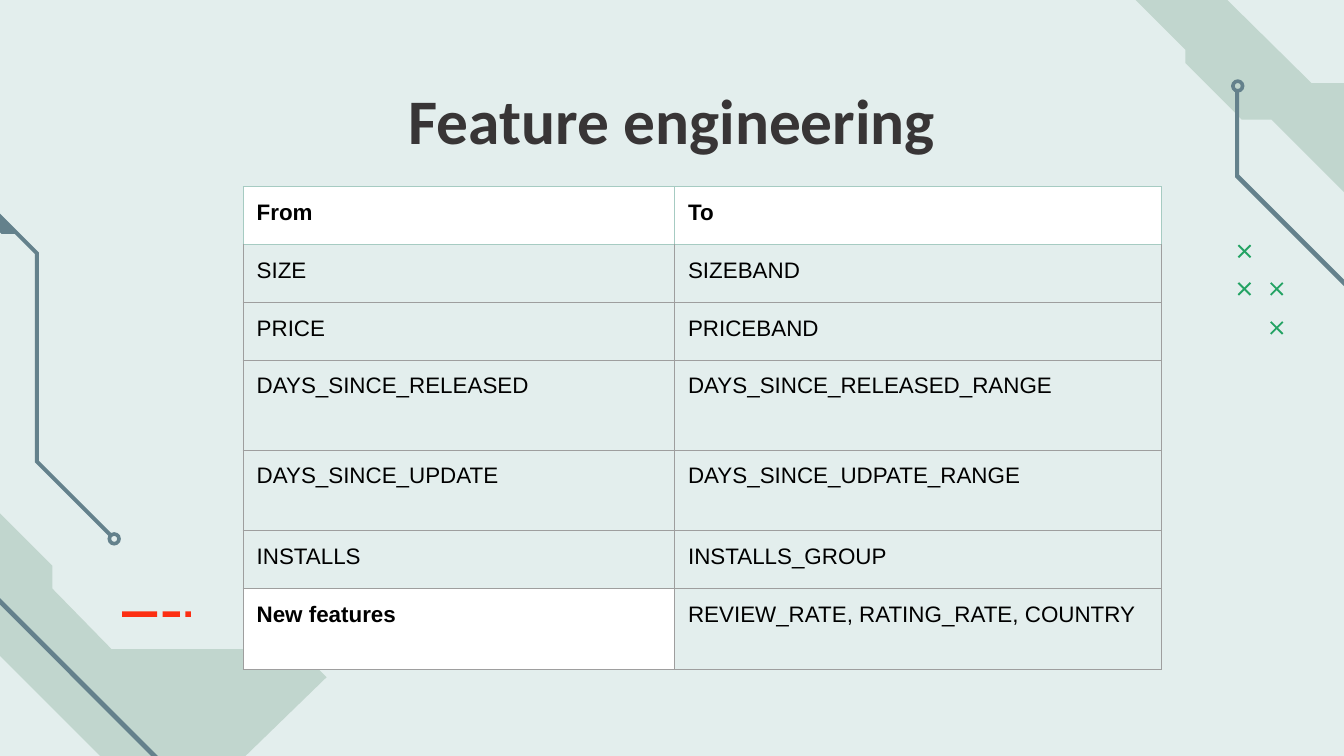
from typing import NamedTuple

from lxml import etree
from pptx import Presentation
from pptx.dml.color import RGBColor
from pptx.enum.shapes import MSO_SHAPE
from pptx.enum.text import MSO_ANCHOR, PP_ALIGN
from pptx.oxml.ns import qn
from pptx.util import Inches, Pt

RECTANGLE = MSO_SHAPE.RECTANGLE
DONUT = MSO_SHAPE.DONUT
TOP = MSO_ANCHOR.TOP
CENTER = PP_ALIGN.CENTER

PAGE_WIDTH = 10
PAGE_HEIGHT = PAGE_WIDTH * 9 / 16

BACKGROUND, SAGE, SLATE = "E3EEED", "C1D6CE", "64818C"
GREEN, RED, INK = "24A364", "FC2E12", "383536"
WHITE, BLACK = "FFFFFF", "000000"
HEADER_LINE, BODY_LINE = "A6CBC2", "9E9E9E"


class Outline(NamedTuple):
    color: str
    points: list[tuple[float, float]]


class Row(NamedTuple):
    source: str
    target: str
    height: float


RIGHT_BAND = Outline(SAGE, [
    (5.89, -2.59), (5.87, -2.58), (8.82, 0.37), (8.82, 0.47), (9.24, 0.89),
    (9.46, 0.89), (10.04, 1.47), (10.72, 1.47), (13.69, 4.44), (13.71, 4.43),
    (10.48, 1.2), (10.48, 1.03), (10.07, 0.62), (9.76, 0.62), (9.04, -0.09),
    (8.39, -0.09)])
LEFT_BAND = Outline(SAGE, [
    (-2.72, 1.1), (-2.74, 1.12), (-0.05, 3.81), (-0.05, 4.83), (0.78, 5.66),
    (1.65, 6.53), (4.15, 9.03), (4.17, 9.01), (1.74, 6.58), (1.74, 5.71),
    (2.43, 5.04), (2.22, 4.83), (0.83, 4.83), (0.39, 4.38), (0.39, 4.21),
    (-0.05, 3.77)])
LEFT_TRACE = Outline(SLATE, [
    (-1.66, 0.52), (-1.66, 1.16), (-0.47, 1.16), (0.26, 1.89), (0.26, 3.44),
    (0.82, 4), (0.84, 3.98), (0.29, 3.43), (0.29, 1.88), (-0.46, 1.13),
    (-1.63, 1.13), (-1.63, 0.52)])
LEFT_WEDGE = Outline(SLATE, [
    (-0.3, 1.3), (-0.3, 1.43), (0.01, 1.74), (0.13, 1.74)])
# Used twice: a line that drops down, then runs off diagonally
CORNER_TRACE = [(0, 0), (0, 0.65), (1.28, 1.93), (1.28, 2.31),
                (1.31, 2.31), (1.31, 1.91), (0.03, 0.63), (0.03, 0)]
CORNER_TRACE_ORIGINS = [(9.19, 0.67), (-0.13, 3.72)]

CROSS_SIZE, CROSS_BAR = 0.1, 0.01
CROSSES = [(9.21, 2.1), (9.21, 1.82), (9.45, 2.39), (9.45, 2.1)]
RINGS = [(9.16, 0.59), (0.8, 3.96)]
DASHES = [(0.91, 0.26), (1.21, 0.13), (1.38, 0.04)]

COLUMN_WIDTHS = [3.21, 3.62]
ROWS = [
    Row("From", "To", 0.43),
    Row("SIZE", "SIZEBAND", 0.43),
    Row("PRICE", "PRICEBAND", 0.43),
    Row("DAYS_SINCE_RELEASED", "DAYS_SINCE_RELEASED_RANGE", 0.67),
    Row("DAYS_SINCE_UPDATE", "DAYS_SINCE_UDPATE_RANGE", 0.6),
    Row("INSTALLS", "INSTALLS_GROUP", 0.43),
    Row("New features", "REVIEW_RATE, RATING_RATE, COUNTRY", 0.6),
]


def rgb(color: str) -> RGBColor:
    return RGBColor.from_string(color)


def paint(shape, color: str) -> None:
    """Give a shape a flat fill with neither line nor shadow."""
    shape.fill.solid()
    shape.fill.fore_color.rgb = rgb(color)
    shape.line.fill.background()
    shape.shadow.inherit = False


def draw_outline(page, outline: Outline) -> None:
    points = [(Inches(x), Inches(y)) for x, y in outline.points]
    builder = page.shapes.build_freeform(*points[0], scale=1.0)
    builder.add_line_segments(points[1:], close=True)
    paint(builder.convert_to_shape(), outline.color)


def draw_preset(page, kind, left: float, top: float, width: float,
                height: float, color: str):
    shape = page.shapes.add_shape(kind, Inches(left), Inches(top),
                                  Inches(width), Inches(height))
    paint(shape, color)
    return shape


def draw_cross(page, left: float, top: float) -> None:
    size, bar = CROSS_SIZE, CROSS_BAR
    rising = [(0, size - bar), (size - bar, 0), (size, bar), (bar, size)]
    falling = [(x, size - y) for x, y in rising]
    for points in (rising, falling):
        draw_outline(page, Outline(GREEN, [(left + x, top + y) for x, y in points]))


def draw_decoration(page) -> None:
    draw_outline(page, RIGHT_BAND)
    for left, top in CROSSES:
        draw_cross(page, left, top)
    for left, width in DASHES:
        draw_preset(page, RECTANGLE, left, 4.55, width, 0.04, RED)
    for outline in (LEFT_TRACE, LEFT_WEDGE, LEFT_BAND):
        draw_outline(page, outline)
    for left, top in CORNER_TRACE_ORIGINS:
        points = [(left + x, top + y) for x, y in CORNER_TRACE]
        draw_outline(page, Outline(SLATE, points))
    for left, top in RINGS:
        ring = draw_preset(page, DONUT, left, top, 0.1, 0.1, SLATE)
        ring.adjustments[0] = 0.28


def draw_title(page, text: str) -> None:
    box = page.shapes.add_textbox(Inches(0.82), Inches(0.5), Inches(8.36), Inches(0.97))
    frame = box.text_frame
    frame.word_wrap = True
    frame.vertical_anchor = TOP
    frame.margin_left = frame.margin_right = Inches(0.1)
    frame.margin_top = frame.margin_bottom = Inches(0.1)
    para = frame.paragraphs[0]
    para.text = text
    para.alignment = CENTER
    para.font.name, para.font.size, para.font.bold = "Calibri", Pt(34), True
    para.font.color.rgb = rgb(INK)


def set_borders(cell, color: str, top_color: str) -> None:
    properties = cell._tc.get_or_add_tcPr()
    for side in ("lnL", "lnR", "lnT", "lnB"):
        line = etree.SubElement(properties, qn(f"a:{side}"), w=str(Pt(0.75)))
        solid = etree.SubElement(line, qn("a:solidFill"))
        etree.SubElement(solid, qn("a:srgbClr"),
                         val=top_color if side == "lnT" else color)


def fill_cell(cell, text: str, heading: bool) -> None:
    """Write a cell; headings are bold on white, others are see-through."""
    cell.margin_left = cell.margin_right = Inches(0.1)
    cell.margin_top = cell.margin_bottom = Inches(0.1)
    if heading:
        cell.fill.solid()
        cell.fill.fore_color.rgb = rgb(WHITE)
    else:
        cell.fill.background()
    para = cell.text_frame.paragraphs[0]
    para.text = text
    para.font.name, para.font.size, para.font.bold = "Arial", Pt(12), heading
    para.font.color.rgb = rgb(BLACK)


def draw_table(page) -> None:
    frame = page.shapes.add_table(
        len(ROWS), len(COLUMN_WIDTHS), Inches(1.81), Inches(1.39),
        Inches(sum(COLUMN_WIDTHS)), Inches(sum(row.height for row in ROWS)))
    table = frame.table
    table.first_row = table.horz_banding = False
    for column, width in zip(table.columns, COLUMN_WIDTHS):
        column.width = Inches(width)
    for index, row in enumerate(ROWS):
        table.rows[index].height = Inches(row.height)
        line = HEADER_LINE if index == 0 else BODY_LINE
        top_line = HEADER_LINE if index <= 1 else BODY_LINE
        for position, text in enumerate((row.source, row.target)):
            cell = table.cell(index, position)
            set_borders(cell, line, top_line)
            fill_cell(cell, text, index == 0 or text == "New features")


def main() -> None:
    deck = Presentation()
    deck.slide_width, deck.slide_height = Inches(PAGE_WIDTH), Inches(PAGE_HEIGHT)
    page = deck.slides.add_slide(deck.slide_layouts[6])
    page.background.fill.solid()
    page.background.fill.fore_color.rgb = rgb(BACKGROUND)
    draw_decoration(page)
    draw_title(page, "Feature engineering")
    draw_table(page)
    deck.save("out.pptx")


if __name__ == "__main__":
    main()
